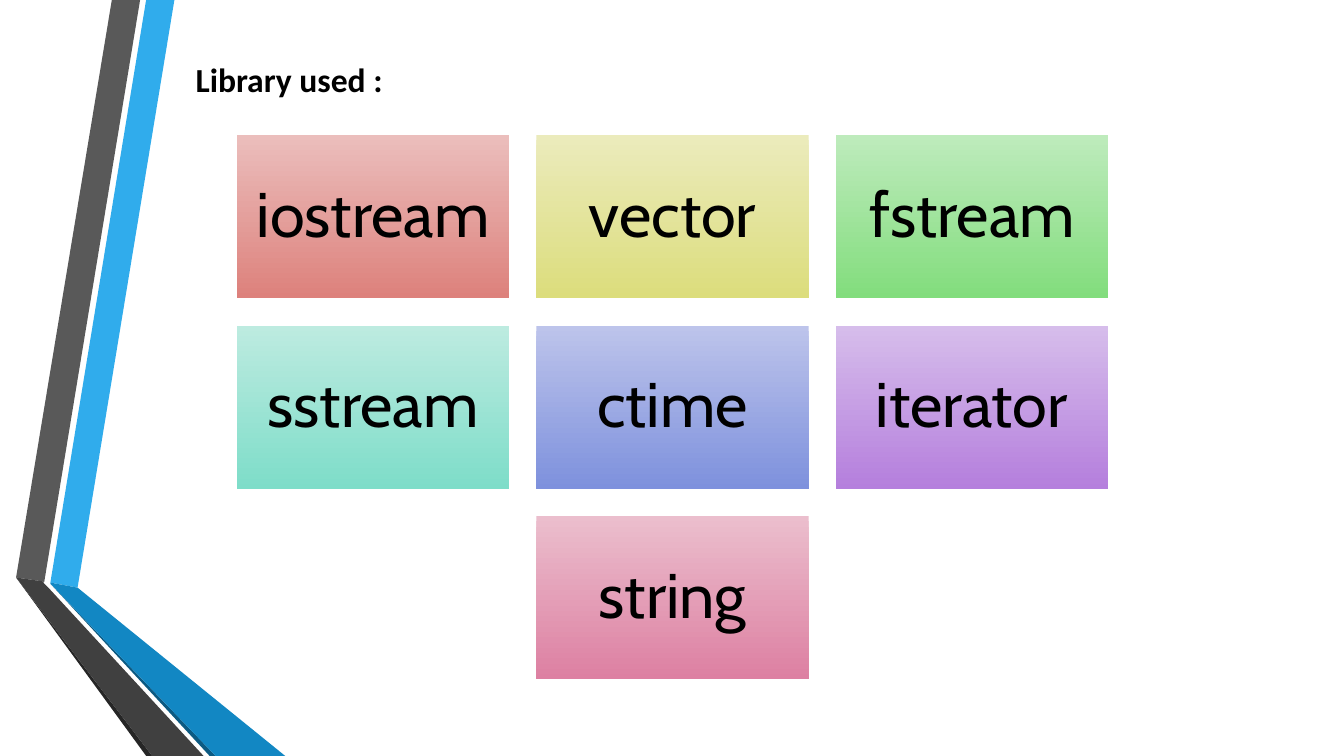
import typing

import pptx
import pptx.dml.color
import pptx.enum.shapes
import pptx.enum.text
import pptx.util

Inches = pptx.util.Inches
ALIGN = pptx.enum.text.PP_ALIGN
ANCHOR = pptx.enum.text.MSO_ANCHOR


class Band(typing.NamedTuple):
    """One flat piece of the folded ribbons, with corners in inches."""
    color: str
    points: list[tuple[float, float]]


class Tile(typing.NamedTuple):
    """A library name and its gradient from top to bottom."""
    name: str
    top_color: str
    bottom_color: str


BANDS = [
    Band("30ACEC", [(0.5, 5.78), (0.77, 5.83), (1.73, 0), (1.45, 0)]),
    Band("595959", [(1.39, 0), (1.11, 0), (0.16, 5.73), (0.44, 5.77)]),
    Band("262626", [(0.16, 5.73), (1.45, 7.5), (1.51, 7.5)]),
    Band("0C5A82", [(0.5, 5.79), (2.08, 7.5), (2.14, 7.5)]),
    Band("1287C3", [(0.5, 5.79), (2.14, 7.5), (2.83, 7.5), (0.77, 5.83), (0.5, 5.78)]),
    Band("404040", [(2.02, 7.5), (0.48, 5.83), (0.43, 5.78), (0.44, 5.77),
                    (0.16, 5.73), (1.51, 7.5)]),
]
TILES = [
    Tile("iostream", "EBBEBC", "DD817C"),
    Tile("vector", "EBEBBC", "DCDD7C"),
    Tile("fstream", "BEEBBC", "82DD7D"),
    Tile("sstream", "BDEBE0", "7EDDC9"),
    Tile("ctime", "BDC4EB", "7E91DD"),
    Tile("iterator", "D6BDEB", "B57FDD"),
    Tile("string", "EBBECD", "DD80A2"),
]
COLUMNS = 3
TILE_W, TILE_H, GAP = 2.7, 1.62, 0.27
GRID_LEFT, GRID_TOP = 2.35, 1.34


def rgb(color: str) -> pptx.dml.color.RGBColor:
    """Turn a hex string into a colour."""
    return pptx.dml.color.RGBColor.from_string(color)


def set_text(sp, text: str, *, font: str, size: float, color: str = "000000",
             bold: bool = False, align=ALIGN.LEFT, anchor=ANCHOR.TOP,
             inset: tuple[float, float] = (0.1, 0.05), spacing: float = 1.0) -> None:
    """Write one formatted paragraph into a shape; inset is (sides, top and bottom)."""
    tf = sp.text_frame
    tf.word_wrap = True
    tf.auto_size = pptx.enum.text.MSO_AUTO_SIZE.NONE
    tf.vertical_anchor = anchor
    tf.margin_left = tf.margin_right = Inches(inset[0])
    tf.margin_top = tf.margin_bottom = Inches(inset[1])
    p = tf.paragraphs[0]
    p.alignment = align
    p.line_spacing = spacing
    p.space_before = p.space_after = pptx.util.Pt(0)
    r = p.add_run()
    r.text = text
    r.font.name = font
    r.font.size = pptx.util.Pt(size)
    r.font.bold = bold
    r.font.color.rgb = rgb(color)


def add_band(s, band: Band) -> None:
    """Draw one ribbon piece as a closed outline."""
    start, *rest = [(Inches(x), Inches(y)) for x, y in band.points]
    builder = s.shapes.build_freeform(*start)
    builder.add_line_segments(rest, close=True)
    sp = builder.convert_to_shape()
    sp.shadow.inherit = False
    sp.fill.solid()
    sp.fill.fore_color.rgb = rgb(band.color)
    sp.line.fill.background()


def add_tile(s, tile: Tile, left: float, top: float) -> None:
    """Draw one library tile with its name in the middle."""
    sp = s.shapes.add_shape(pptx.enum.shapes.MSO_SHAPE.RECTANGLE, Inches(left),
                            Inches(top), Inches(TILE_W), Inches(TILE_H))
    sp.shadow.inherit = False
    sp.line.fill.background()
    sp.fill.gradient()
    sp.fill.gradient_angle = 270
    for stop, color in zip(sp.fill.gradient_stops, (tile.top_color, tile.bottom_color)):
        stop.color.rgb = rgb(color)
    set_text(sp, tile.name, font="Cabin", size=45, align=ALIGN.CENTER,
             anchor=ANCHOR.MIDDLE, inset=(0.19, 0.19), spacing=0.9)


def add_grid(s, tiles: list[Tile]) -> None:
    """Lay tiles out in rows, centring a row that is not full."""
    for start in range(0, len(tiles), COLUMNS):
        row = tiles[start:start + COLUMNS]
        left = GRID_LEFT + (COLUMNS - len(row)) * (TILE_W + GAP) / 2
        top = GRID_TOP + start // COLUMNS * (TILE_H + GAP)
        for column, tile in enumerate(row):
            add_tile(s, tile, left + column * (TILE_W + GAP), top)


def main() -> None:
    """Build the slide and save it."""
    prs = pptx.Presentation()
    prs.slide_width, prs.slide_height = Inches(13.33), Inches(7.5)
    s = prs.slides.add_slide(prs.slide_layouts.get_by_name("Title Only"))
    title = s.shapes.title
    title.left, title.top = Inches(1.84), Inches(0.53)
    title.width, title.height = Inches(6.66), Inches(0.5)
    set_text(title, "Library used :", font="Calibri", size=24, bold=True)
    for band in BANDS:
        add_band(s, band)
    add_grid(s, TILES)
    prs.save("out.pptx")


main()
